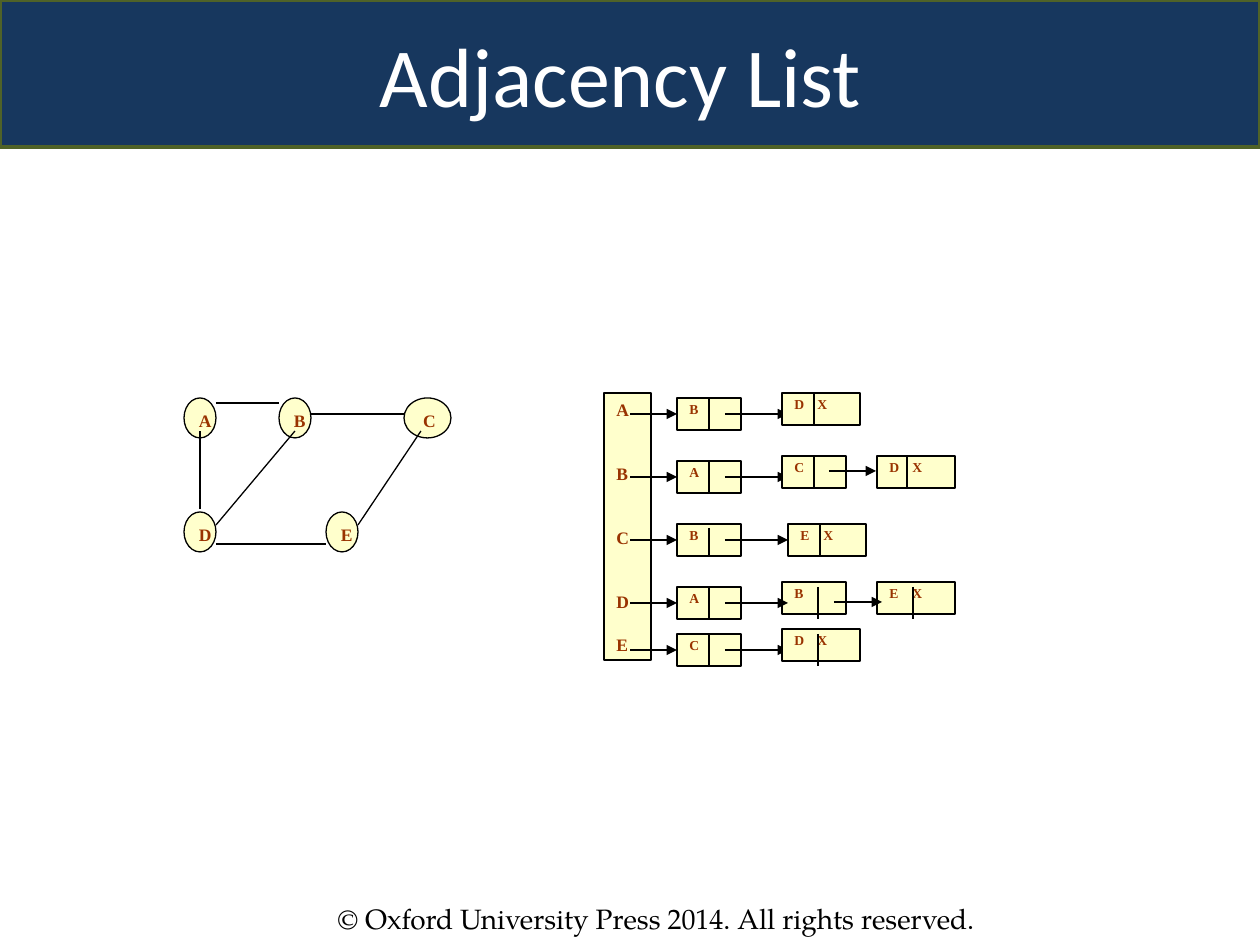
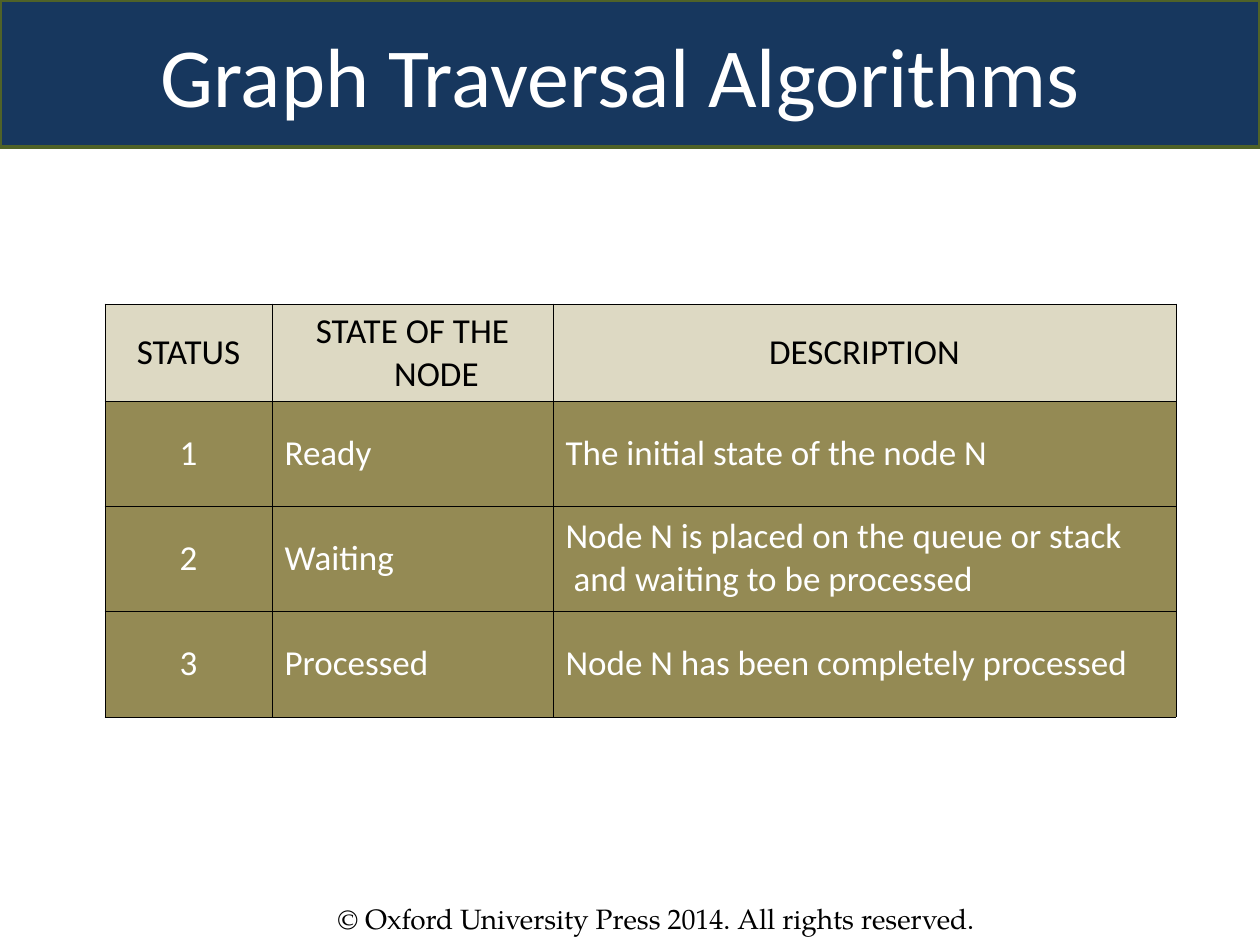
from dataclasses import dataclass

from lxml import etree
from pptx import Presentation
from pptx.dml.color import RGBColor
from pptx.enum.shapes import MSO_CONNECTOR, MSO_SHAPE
from pptx.enum.text import MSO_ANCHOR, MSO_AUTO_SIZE, PP_ALIGN
from pptx.oxml.ns import qn
from pptx.util import Emu, Pt

STRAIGHT = MSO_CONNECTOR.STRAIGHT
RECTANGLE = MSO_SHAPE.RECTANGLE
OVAL = MSO_SHAPE.OVAL
TOP = MSO_ANCHOR.TOP
MIDDLE = MSO_ANCHOR.MIDDLE
LEFT = PP_ALIGN.LEFT
CENTER = PP_ALIGN.CENTER
NO_AUTOFIT = MSO_AUTO_SIZE.NONE

NAVY = RGBColor(0x17, 0x37, 0x5E)
GREEN = RGBColor(0x4F, 0x62, 0x28)
CREAM = RGBColor(0xFF, 0xFF, 0xCC)
RUST = RGBColor(0x99, 0x33, 0x00)
SAND = RGBColor(0xDD, 0xD9, 0xC3)
OLIVE = RGBColor(0x94, 0x8A, 0x54)
BLACK = RGBColor(0x00, 0x00, 0x00)
WHITE = RGBColor(0xFF, 0xFF, 0xFF)

SANS = "Calibri"
SERIF = "Times New Roman"
FOOTER_FONT = "TeX Gyre Pagella"
FOOTER = "© Oxford University Press 2014. All rights reserved."
PX_PER_INCH = 126
SLIDE_SIZE = (1260, 945)
TITLE_ONLY = 5

NODE_HEIGHT = 40
GRAPH_NODES = [("A", 0, 0, 32), ("B", 95, 0, 32), ("C", 220, 0, 47),
               ("D", 0, 114, 32), ("E", 142, 114, 32)]
GRAPH_EDGES = [((174, 127), (237, 33)), ((126, 16), (220, 16)),
               ((32, 146), (142, 146)), ((32, 127), (111, 33)),
               ((16, 111), (16, 33)), ((32, 5), (95, 5))]

CELL_HEIGHT = 32
CELL_WIDTH = 64
LAST_CELL_WIDTH = 78
INDEX_GAPS = {"A": 0, "B": 43, "C": 43, "D": 43, "E": 22}


@dataclass
class ListCell:
    """A linked-list cell and the arrow leading to it; rises count up from the row line."""
    text: str
    left: int = 178
    rise: int = 21
    divider: tuple = (32, 0, 32)
    link: tuple = (121, 184)
    link_rise: int = 0
    link_on_top: bool = False


def first_cell(text, divider=(32, 0, 32)):
    """Return the cell that the index column points to."""
    return ListCell(text, 73, 16, divider, (26, 73))


LIST_ROWS = [
    (21, [first_cell("B"), ListCell("D\tX")]),
    (84, [first_cell("A"), ListCell("C"),
          ListCell("D\tX", 273, divider=(30, 0, 32), link=(225, 272), link_rise=6)]),
    (147, [first_cell("B", (32, 4, 32)), ListCell("E\tX", 184, 16)]),
    (210, [first_cell("A"),
           ListCell("B", divider=(36, 5, 37), link_on_top=True),
           ListCell("E\tX", 273, divider=(36, 5, 37), link=(230, 278),
                    link_rise=1, link_on_top=True)]),
    (257, [first_cell("C"), ListCell("D\tX", divider=(36, 5, 37))]),
]

COLUMN_WIDTHS = [167, 281, 623]
ROW_HEIGHTS = [97, 105, 105, 106]
STATES = [
    ["STATUS", "STATE OF THE NODE", "DESCRIPTION"],
    ["1", "Ready", "The initial state of the node N"],
    ["2", "Waiting", "Node N is placed on the queue or stack and waiting to be processed"],
    ["3", "Processed", "Node N has been completely processed"],
]


def px(length):
    """Turn pixels into EMU."""
    return Emu(round(length * 914400 / PX_PER_INCH))


def write(paragraph, text, size, font=SERIF, color=RUST, bold=False, align=LEFT,
          line_spacing=None, space_before=0, hanging=0, tab=0):
    """Put one formatted run of text into a paragraph."""
    properties = paragraph._p.get_or_add_pPr()
    if hanging:
        properties.set("marL", str(px(hanging)))
        properties.set("indent", str(-px(hanging)))
    if tab:
        tabs = etree.SubElement(properties, qn("a:tabLst"))
        etree.SubElement(tabs, qn("a:tab"), pos=str(px(tab)), algn="l")
    paragraph.alignment = align
    if line_spacing:
        paragraph.line_spacing = line_spacing
    if space_before:
        paragraph.space_before = px(space_before)
    run = paragraph.add_run()
    run.text = text
    run.font.size = Pt(size)
    run.font.name = font
    run.font.bold = bold
    run.font.color.rgb = color


def add_block(slide, kind, left, top, width, height):
    """Add a cream shape with a thin black outline and return its text frame."""
    shape = slide.shapes.add_shape(kind, px(left), px(top), px(width), px(height))
    shape.shadow.inherit = False
    shape.fill.solid()
    shape.fill.fore_color.rgb = CREAM
    shape.line.color.rgb = BLACK
    shape.line.width = Pt(0.75)
    frame = shape.text_frame
    frame.word_wrap = True
    frame.vertical_anchor = TOP
    return frame


def add_line(slide, start, end, arrow=False):
    """Draw a thin black line, optionally ending in an arrowhead."""
    connector = slide.shapes.add_connector(
        STRAIGHT, px(start[0]), px(start[1]), px(end[0]), px(end[1]))
    connector.line.color.rgb = BLACK
    connector.line.width = Pt(0.75)
    properties = connector.element.spPr
    if arrow:
        etree.SubElement(properties.find(qn("a:ln")), qn("a:tailEnd"), type="triangle")
    etree.SubElement(properties, qn("a:effectLst"))


def add_titled_slide(presentation, title):
    """Add a slide with the title band and the copyright footer."""
    slide = presentation.slides.add_slide(presentation.slide_layouts[TITLE_ONLY])
    band = slide.shapes.title
    band.left, band.top, band.width, band.height = px(0), px(0), px(SLIDE_SIZE[0]), px(147)
    band.fill.solid()
    band.fill.fore_color.rgb = NAVY
    band.line.color.rgb = GREEN
    band.line.width = Pt(2)
    band.text_frame.auto_size = NO_AUTOFIT
    band.text_frame.vertical_anchor = MIDDLE
    write(band.text_frame.paragraphs[0], title, 48, SANS, WHITE, align=CENTER)
    footer = slide.shapes.add_textbox(px(325), px(895), px(746), px(47))
    footer.text_frame.word_wrap = True
    write(footer.text_frame.paragraphs[0], FOOTER, 16, FOOTER_FONT, BLACK)
    return slide


def draw_graph(slide, left, top):
    """Draw the five-node graph from its top left corner."""
    for label, x, y, width in GRAPH_NODES:
        frame = add_block(slide, OVAL, left + x, top + y, width, NODE_HEIGHT)
        write(frame.paragraphs[0], label, 10, bold=True)
    for start, end in GRAPH_EDGES:
        add_line(slide, (left + start[0], top + start[1]), (left + end[0], top + end[1]))


def draw_link(slide, cell, left, line_y):
    """Draw the arrow that leads to a list cell."""
    start, end = cell.link
    y = line_y - cell.link_rise
    add_line(slide, (left + start, y), (left + end, y), arrow=True)


def draw_cell(slide, cell, left, line_y):
    """Draw a list cell with its divider."""
    x, y = left + cell.left, line_y - cell.rise
    width = LAST_CELL_WIDTH if "\t" in cell.text else CELL_WIDTH
    frame = add_block(slide, RECTANGLE, x, y, width, CELL_HEIGHT)
    write(frame.paragraphs[0], cell.text, 7.8, bold=True, line_spacing=0.8, tab=23)
    offset, start, end = cell.divider
    add_line(slide, (x + offset, y + start), (x + offset, y + end))


def draw_adjacency_lists(slide, left, top):
    """Draw the index column and one linked list per node."""
    index = add_block(slide, RECTANGLE, left, top, 47, 267)
    for position, (label, gap) in enumerate(INDEX_GAPS.items()):
        paragraph = index.add_paragraph() if position else index.paragraphs[0]
        write(paragraph, label, 10, bold=True, space_before=gap)
    for line_offset, cells in LIST_ROWS:
        for cell in cells:
            steps = [draw_cell, draw_link] if cell.link_on_top else [draw_link, draw_cell]
            for draw in steps:
                draw(slide, cell, left, top + line_offset)


def add_borders(cell):
    """Give a table cell thin black borders on all sides."""
    properties = cell._tc.get_or_add_tcPr()
    for side in ("lnL", "lnR", "lnT", "lnB"):
        line = etree.SubElement(properties, qn(f"a:{side}"), w=str(Pt(0.45)))
        fill = etree.SubElement(line, qn("a:solidFill"))
        etree.SubElement(fill, qn("a:srgbClr"), val=str(BLACK))


def draw_state_table(slide, left, top):
    """Draw the table of node states."""
    table = slide.shapes.add_table(
        len(STATES), len(COLUMN_WIDTHS), px(left), px(top),
        px(sum(COLUMN_WIDTHS)), px(sum(ROW_HEIGHTS))).table
    table.first_row = table.horz_banding = False
    for column, width in zip(table.columns, COLUMN_WIDTHS):
        column.width = px(width)
    for row, height in zip(table.rows, ROW_HEIGHTS):
        row.height = px(height)
    for row_number, texts in enumerate(STATES):
        header = row_number == 0
        for column_number, text in enumerate(texts):
            cell = table.cell(row_number, column_number)
            add_borders(cell)
            cell.fill.solid()
            cell.fill.fore_color.rgb = SAND if header else OLIVE
            cell.vertical_anchor = MIDDLE
            write(cell.text_frame.paragraphs[0], text, 20, SANS,
                  BLACK if header else WHITE,
                  align=CENTER if header or column_number == 0 else LEFT,
                  hanging=8 if (row_number, column_number) == (2, 2) else 48)


def main():
    """Build both slides and save the presentation."""
    presentation = Presentation()
    presentation.slide_width, presentation.slide_height = map(px, SLIDE_SIZE)
    slide = add_titled_slide(presentation, "Adjacency List ")
    draw_graph(slide, 184, 398)
    draw_adjacency_lists(slide, 604, 393)
    slide = add_titled_slide(presentation, "Graph Traversal Algorithms ")
    draw_state_table(slide, 105, 304)
    presentation.save("out.pptx")


if __name__ == "__main__":
    main()
